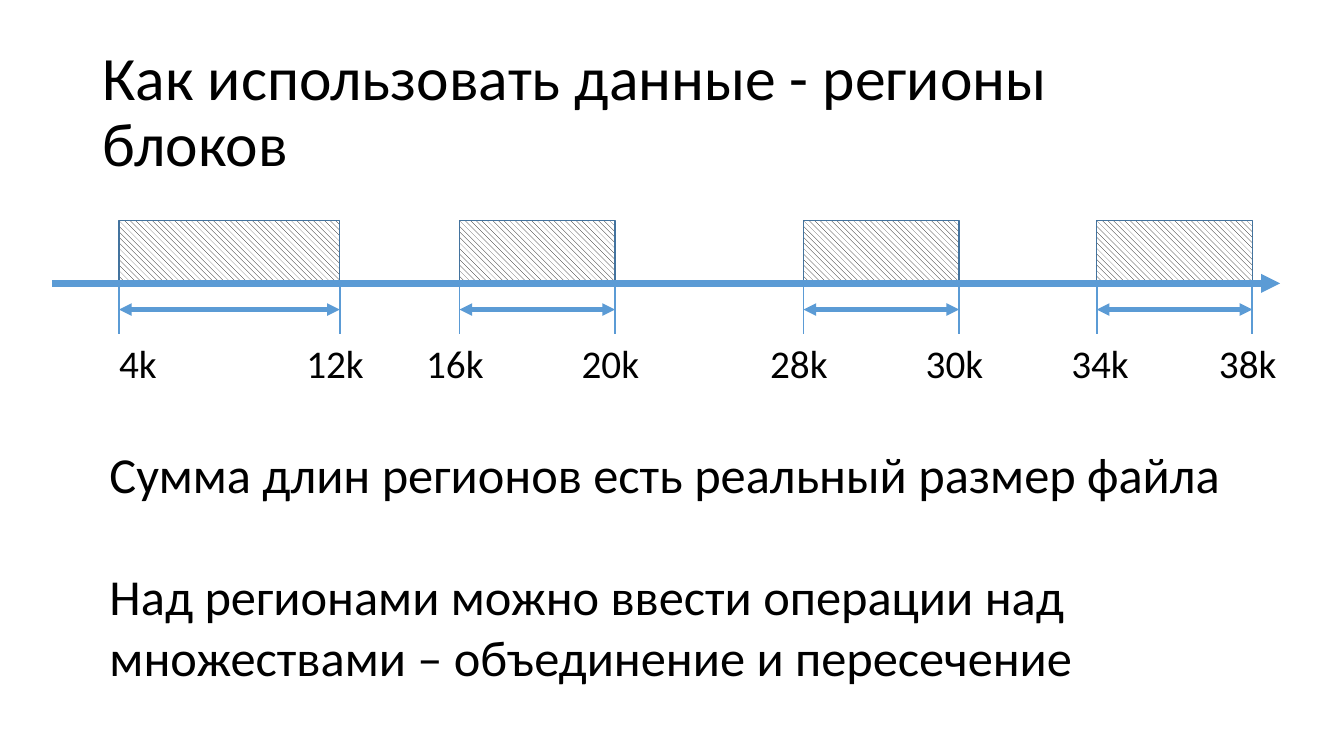
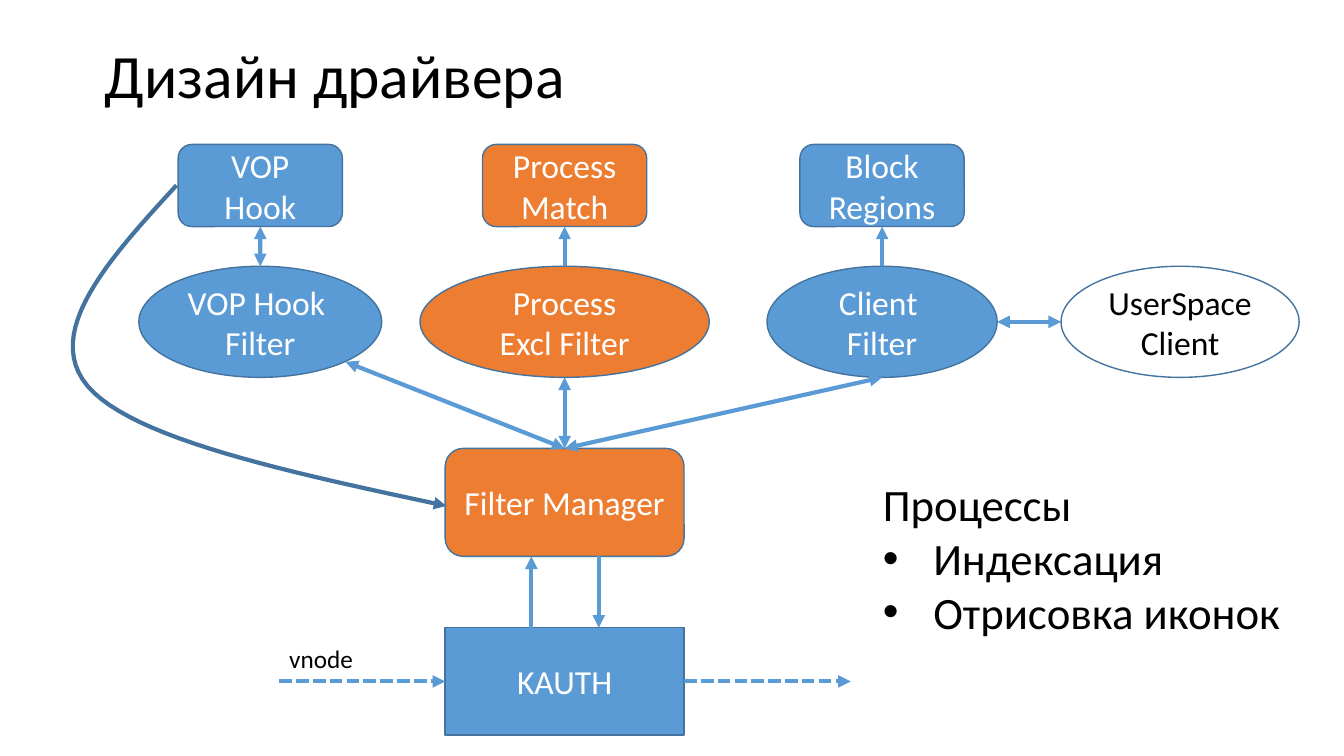
import lxml.etree
import pptx
import pptx.dml.color
import pptx.enum.dml
import pptx.enum.shapes
import pptx.enum.text
import pptx.oxml.ns
import pptx.util

Cm = pptx.util.Cm
Pt = pptx.util.Pt
qn = pptx.oxml.ns.qn
SHAPES = pptx.enum.shapes.MSO_SHAPE
ALIGN = pptx.enum.text.PP_ALIGN
MIDDLE = pptx.enum.text.MSO_ANCHOR.MIDDLE
TOP, LEFT, BOTTOM, RIGHT = range(4)


def color(value):
    return pptx.dml.color.RGBColor.from_string(value)


def add_arrowheads(shape, *ends):
    outline = shape.element.spPr.find(qn("a:ln"))
    for end in ends:
        lxml.etree.SubElement(outline, qn(f"a:{end}End"), type="triangle")


def cubic_point(points, t):
    weights = ((1 - t) ** 3, 3 * t * (1 - t) ** 2, 3 * t * t * (1 - t), t ** 3)
    return tuple(Cm(sum(w * p[axis] for w, p in zip(weights, points))) for axis in (0, 1))


class Slides:
    """Holds the deck's style and the slide being drawn."""

    FONT = "Calibri"
    BLACK, WHITE = "000000", "FFFFFF"
    BLUE, ORANGE, OUTLINE = "5B9BD5", "ED7D31", "43739E"

    def __init__(self):
        self.deck = pptx.Presentation()
        self.deck.slide_width = Cm(33.87)
        self.deck.slide_height = Cm(19.05)
        self.page = None

    def new_page(self, title, left, top):
        self.page = self.deck.slides.add_slide(self.deck.slide_layouts[6])
        box = self.text(title, left, top, 29.21, 3.68, 44)
        box.text_frame.vertical_anchor = MIDDLE
        box.text_frame.paragraphs[0].line_spacing = 0.9

    def set_text(self, shape, text, size, ink, align):
        frame = shape.text_frame
        frame.text = text
        frame.word_wrap = True
        for para in frame.paragraphs:
            para.alignment = align
            for span in para.runs:
                span.font.name = self.FONT
                span.font.size = Pt(size)
                span.font.color.rgb = color(ink)

    def text(self, text, left, top, width, height, size):
        box = self.page.shapes.add_textbox(Cm(left), Cm(top), Cm(width), Cm(height))
        self.set_text(box, text, size, self.BLACK, ALIGN.LEFT)
        return box

    def shape(self, kind, left, top, width, height):
        shape = self.page.shapes.add_shape(kind, Cm(left), Cm(top), Cm(width), Cm(height))
        shape.shadow.inherit = False
        shape.line.color.rgb = color(self.OUTLINE)
        shape.line.width = Pt(1)
        return shape

    def hatched(self, left, top, width, height):
        fill = self.shape(SHAPES.RECTANGLE, left, top, width, height).fill
        fill.patterned()
        fill.pattern = pptx.enum.dml.MSO_PATTERN.WIDE_DOWNWARD_DIAGONAL
        fill.fore_color.rgb = color(self.BLACK)
        fill.back_color.rgb = color(self.WHITE)

    def node(self, kind, text, center, top, width, height, fill, ink=WHITE):
        node = self.shape(kind, center - width / 2, top, width, height)
        node.fill.solid()
        node.fill.fore_color.rgb = color(fill)
        self.set_text(node, text, 24, ink, ALIGN.CENTER)
        node.text_frame.vertical_anchor = MIDDLE
        return node

    def line(self, start, end, *heads, width=3, dashed=False):
        """Draw a line; each end is a point (x, y) or a joint (shape, side)."""
        joints = [not isinstance(place[0], (int, float)) for place in (start, end)]
        points = [(0, 0) if joint else place for joint, place in zip(joints, (start, end))]
        line = self.page.shapes.add_connector(
            pptx.enum.shapes.MSO_CONNECTOR.STRAIGHT,
            *(Cm(length) for point in points for length in point))
        if joints[0]:
            line.begin_connect(*start)
        if joints[1]:
            line.end_connect(*end)
        line.line.color.rgb = color(self.BLUE)
        line.line.width = Pt(width)
        if dashed:
            line.line.dash_style = pptx.enum.dml.MSO_LINE.SQUARE_DOT
        add_arrowheads(line, *heads)
        lxml.etree.SubElement(line.element.spPr, qn("a:effectLst"))

    def curve(self, points, steps=24):
        """Draw an arrow along joined cubic curves, given as 3n + 1 points."""
        track = [cubic_point(points[first:first + 4], step / steps)
                 for first in range(0, len(points) - 1, 3)
                 for step in range(1, steps + 1)]
        builder = self.page.shapes.build_freeform(*(Cm(length) for length in points[0]))
        builder.add_line_segments(track, close=False)
        curve = builder.convert_to_shape()
        curve.shadow.inherit = False
        curve.fill.background()
        curve.line.color.rgb = color(self.OUTLINE)
        curve.line.width = Pt(3)
        add_arrowheads(curve, "tail")

    def bullet(self, para):
        props = para._p.get_or_add_pPr()
        props.set("marL", str(Cm(1.27)))
        props.set("indent", str(-Cm(1.27)))
        lxml.etree.SubElement(props, qn("a:buFont"), typeface="Arial")
        lxml.etree.SubElement(props, qn("a:buChar"), char="•")


def draw_regions(slides):
    slides.new_page("Как использовать данные - регионы блоков", 2.34, 1.02)
    axis, label_width = 7.14, 2.18
    centered = label_width / 2
    # start, end, start label, end label, offset of the start label
    regions = [
        (3, 8.56, "4k", "12k", 0.25),
        (11.58, 15.5, "16k", "20k", centered),
        (20.25, 24.17, "28k", "30k", centered),
        (27.64, 31.56, "34k", "38k", 0.89),
    ]
    for start, end, *_ in regions:
        slides.hatched(start, axis - 1.58, end - start, 1.58)
    slides.line((1.32, axis), (32.26, axis), "tail", width=4.5)
    for start, end, first, last, offset in regions:
        for x, label, shift in ((start, first, offset), (end, last, centered)):
            slides.line((x, axis), (x, axis + 1.27), width=1.25)
            slides.text(label, x - shift, 8.43, label_width, 1.45, 28)
        slides.line((start, 7.8), (end, 7.8), "head", "tail")
    notes = slides.text(
        "Сумма длин регионов есть реальный размер файла\n"
        "Над регионами можно ввести операции над множествами – объединение и пересечение",
        2.51, 11.05, 28.83, 6.4, 36)
    notes.text_frame.paragraphs[1].space_before = Pt(44)


def draw_driver(slides):
    slides.new_page("Дизайн драйвера", 2.39, 0.15)
    blue, orange = slides.BLUE, slides.ORANGE
    middle, filter_top, filter_height = 14.23, 6.71, 2.8
    filter_bottom = filter_top + filter_height
    filter_middle = filter_top + filter_height / 2

    kauth = slides.node(SHAPES.RECTANGLE, "KAUTH", middle, 15.82, 6.02, 2.7, blue)
    manager = slides.node(
        SHAPES.ROUNDED_RECTANGLE, "Filter Manager", middle, 11.3, 6.02, 2.72, orange)

    # box, filter, center, filter width, fill, manager's arrow tip, heads of the upper arrow
    columns = [
        ("VOP Hook", "VOP Hook \nFilter", 6.56, 6.12, blue, (8.71, 9.12), ("head", "tail")),
        ("Process Match", "Process\nExcl Filter", middle, 7.29, orange,
         (middle, filter_bottom), ("tail",)),
        ("Block Regions", "Client \nFilter", 22.23, 5.8, blue,
         (22.23, filter_bottom), ("tail",)),
    ]
    for box_text, filter_text, center, width, fill, tip, heads in columns:
        oval = slides.node(
            SHAPES.OVAL, filter_text, center, filter_top, width, filter_height, fill)
        box = slides.node(
            SHAPES.ROUNDED_RECTANGLE, box_text, center, 3.64, 4.14, 2.07, fill)
        slides.line((oval, TOP), (box, BOTTOM), *heads)
        slides.line((manager, TOP), tip, "head", "tail")

    slides.node(SHAPES.OVAL, "UserSpace Client", 29.74, filter_top, 6, filter_height,
                slides.WHITE, slides.BLACK)
    slides.line((25.13, filter_middle), (26.74, filter_middle), "head", "tail")
    slides.line((13.39, 15.82), (13.39, 14.02), "tail")
    slides.line((15.09, 14.02), (15.09, 15.82), "tail")
    slides.line((7.04, 17.17), (kauth, LEFT), "tail", dashed=True)
    slides.line((kauth, RIGHT), (21.44, 17.17), "tail", dashed=True)
    slides.curve([(4.45, 4.67), (2.74, 6.53), (1.07, 8.38), (2.21, 9.73),
                  (3.35, 11.07), (7.32, 11.91), (11.25, 12.75)])
    slides.text("vnode", 7.04, 16.08, 3.23, 1.02, 18)
    processes = slides.text(
        "Процессы\nИндексация\nОтрисовка иконок", 22, 11.89, 10.72, 4.37, 32)
    for para in processes.text_frame.paragraphs[1:]:
        slides.bullet(para)


def main():
    slides = Slides()
    draw_regions(slides)
    draw_driver(slides)
    slides.deck.save("out.pptx")


if __name__ == "__main__":
    main()
